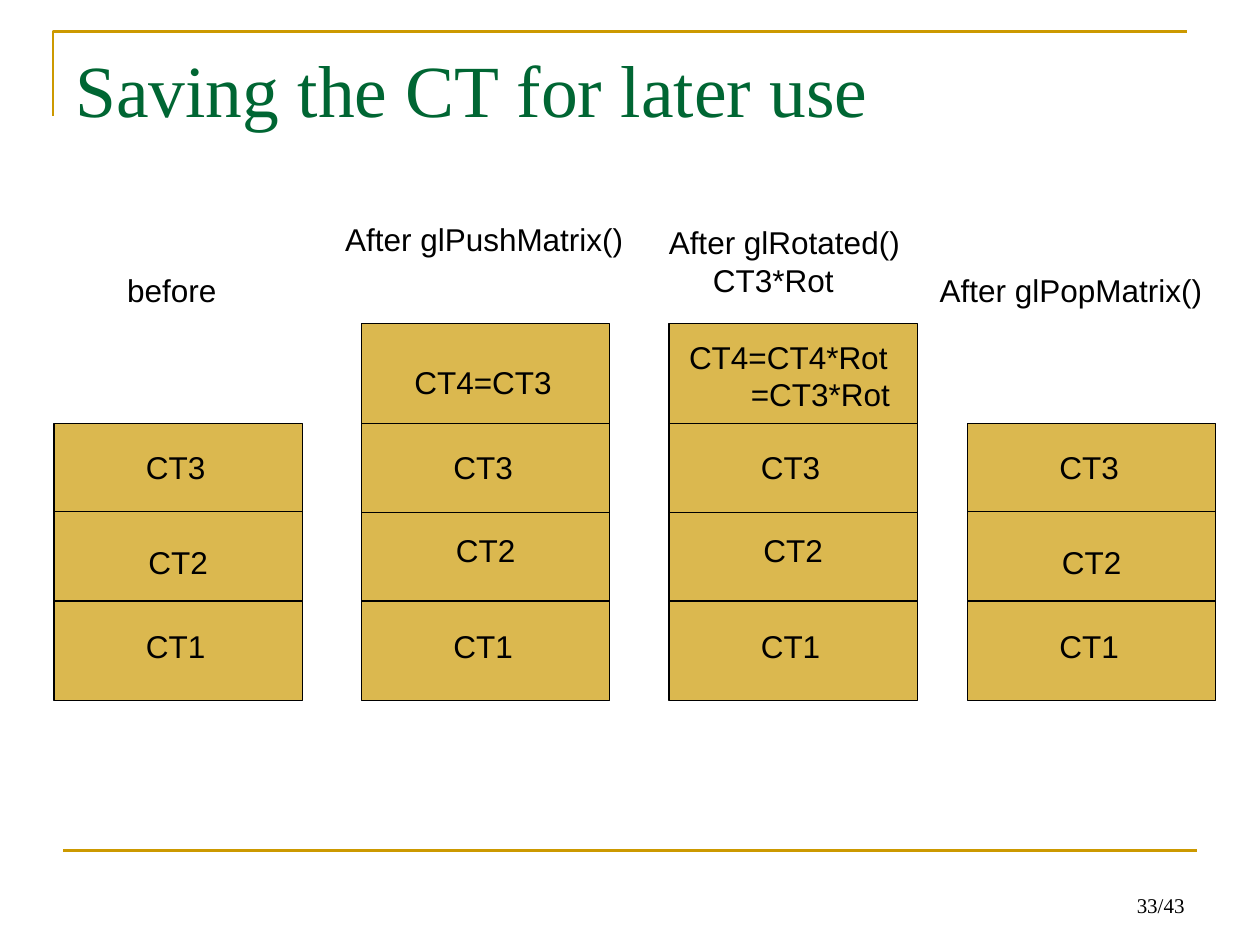
"""Build a slide showing how the CT matrix stack is pushed, rotated and popped."""
from lxml.etree import SubElement
from pptx import Presentation
from pptx.dml.color import RGBColor
from pptx.enum.shapes import MSO_CONNECTOR as Connector, MSO_SHAPE as Shape
from pptx.enum.text import MSO_ANCHOR as Anchor, PP_ALIGN as Align
from pptx.oxml.ns import qn
from pptx.util import Inches, Pt

BLACK = RGBColor(0x00, 0x00, 0x00)
GOLD = RGBColor(0xCC, 0x99, 0x00)
GREEN = RGBColor(0x00, 0x66, 0x33)
SERIF, SANS = "Times New Roman", "Arial"

TITLE = "Saving the CT for later use"
PAGE = "33/43"
# Each text is (lines, left, top, width, height, indent of the second line).
STACKS = [
    {"left": 0.43, "heading": (["before"], 0.91, 2.1, 0.91, 0.4, 0)},
    {"left": 2.87, "heading": (["After glPushMatrix()"], 2.64, 1.7, 2.41, 0.4, 0),
     "pushed": (["CT4=CT3"], 3.19, 2.83, 1.59, 0.4, 0)},
    {"left": 5.31,
     "heading": (["After glRotated()", "CT3*Rot"], 5.21, 1.72, 2.03, 0.7, 0.35),
     "pushed": (["CT4=CT4*Rot", "=CT3*Rot"], 5.37, 2.63, 1.79, 0.7, 0.49)},
    {"left": 7.68, "heading": (["After glPopMatrix()"], 7.36, 2.1, 2.28, 0.4, 0)},
]
STACK_WIDTH, STACK_BOTTOM = 1.97, 5.56
PUSHED_TOP, CT3_TOP, CT2_TOP, CT1_TOP = 2.57, 3.36, 4.06, 4.77
LABELS = [("CT1", 4.93), ("CT3", 3.51)]
LABEL_WIDTH, LABEL_HEIGHT = 0.67, 0.4


def write(shape, lines, size=18, font=SANS, color=BLACK, align=Align.LEFT, indent=0):
    frame = shape.text_frame
    frame.text = "\n".join(lines)
    for number, paragraph in enumerate(frame.paragraphs):
        if number and indent:
            paragraph._p.get_or_add_pPr().set("marL", str(Inches(indent)))
        paragraph.alignment = align
        paragraph.font.size = Pt(size)
        paragraph.font.name = font
        paragraph.font.color.rgb = color
    return frame


def add_text(slide, lines, left, top, width, height, indent=0, **style):
    box = slide.shapes.add_textbox(*map(Inches, (left, top, width, height)))
    frame = write(box, lines, indent=indent, **style)
    frame.word_wrap = True
    frame.margin_right = 0
    return frame


def add_line(slide, left, right, y, color=BLACK, weight=0.75):
    line = slide.shapes.add_connector(
        Connector.STRAIGHT, *map(Inches, (left, y, right, y)))
    line.line.color.rgb = color
    line.line.width = Pt(weight)
    SubElement(line._element.spPr, qn("a:effectLst"))
    return line


def add_stack(slide, left, heading, pushed=None):
    top = PUSHED_TOP if pushed else CT3_TOP
    block = slide.shapes.add_shape(
        Shape.RECTANGLE, *map(Inches, (left, top, STACK_WIDTH, STACK_BOTTOM - top)))
    block.shadow.inherit = False
    block.fill.solid()
    block.fill.fore_color.rgb = GOLD
    color = block._element.spPr.find(qn("a:solidFill"))[0]
    SubElement(color, qn("a:alpha"), val="69000")
    block.line.color.rgb = BLACK
    block.line.width = Pt(0.75)
    frame = write(block, ["CT2"], align=Align.CENTER)
    frame.vertical_anchor = Anchor.MIDDLE
    frame.margin_top = Inches(0.65 if pushed else 0.05)

    for y in (CT3_TOP, CT2_TOP, CT1_TOP):
        if y > top:
            line = add_line(slide, left, left + STACK_WIDTH, y)
            if pushed and y == CT2_TOP:
                line.begin_connect(block, 1)
                line.end_connect(block, 3)
    label_left = left + (STACK_WIDTH - LABEL_WIDTH) / 2 - 0.02
    for label, y in LABELS:
        add_text(slide, [label], label_left, y, LABEL_WIDTH, LABEL_HEIGHT)
    if pushed:
        add_text(slide, *pushed)
    add_text(slide, *heading)


def add_frame(slide):
    builder = slide.shapes.build_freeform(Inches(0.42), Inches(0.92))
    builder.add_line_segments(
        [(Inches(0.42), Inches(0.25)), (Inches(9.42), Inches(0.25))], close=False)
    corner = builder.convert_to_shape()
    corner.shadow.inherit = False
    corner.fill.background()
    corner.line.color.rgb = GOLD
    corner.line.width = Pt(1.5)
    add_line(slide, 0.5, 9.5, 6.75, GOLD, 1.5)
    page = add_text(slide, [PAGE], 7.17, 6.83, 2.33, 0.5,
                    size=12, font=SERIF, align=Align.RIGHT)
    page.margin_right = Inches(0.1)
    page.vertical_anchor = Anchor.BOTTOM
    add_text(slide, [TITLE], 0.5, 0.3, 9, 1.25, size=42, font=SERIF, color=GREEN)


def main():
    presentation = Presentation()
    presentation.slide_width, presentation.slide_height = Inches(10), Inches(7.5)
    slide = presentation.slides.add_slide(presentation.slide_layouts[6])
    add_frame(slide)
    for stack in STACKS:
        add_stack(slide, **stack)
    presentation.save("out.pptx")


if __name__ == "__main__":
    main()
